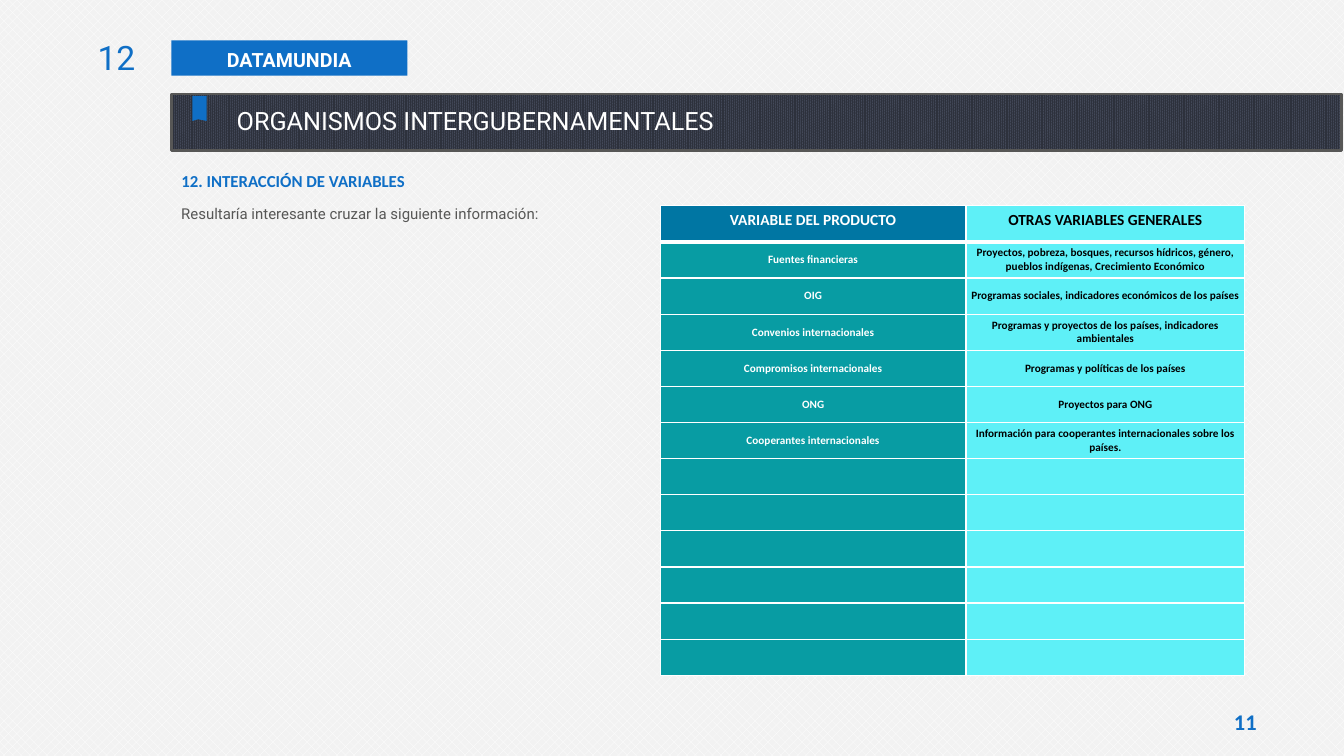
from lxml import etree
from pptx import Presentation
from pptx import util as u
from pptx.dml.color import RGBColor
from pptx.enum import dml, shapes, text
from pptx.oxml.ns import qn

COLORS = {
    "blue": "0F6FC6", "white": "FFFFFF", "black": "000000", "gray": "575756",
    "paper": "F2F2F2", "slate": "2D313C", "slate_light": "444A5A",
    "header": "0076A3", "teal": "089CA3", "cyan": "5EF0F7",
}
WIDTH, HEIGHT = 13.33, 7.5
COLUMNS, ROWS = 16, 9
HEADERS = ("VARIABLE DEL PRODUCTO", "OTRAS VARIABLES GENERALES")
CROSSINGS = [
    ("Fuentes financieras",
     "Proyectos, pobreza, bosques, recursos hídricos, género, "
     "pueblos indígenas, Crecimiento Económico"),
    ("OIG", "Programas sociales, indicadores económicos de los países"),
    ("Convenios internacionales",
     "Programas y proyectos de los países, indicadores ambientales"),
    ("Compromisos internacionales", "Programas y políticas de los países"),
    ("ONG", "Proyectos para ONG"),
    ("Cooperantes internacionales",
     "Información para cooperantes internacionales sobre los países."),
]
EMPTY_ROWS = 6


def rgb(name):
    return RGBColor.from_string(COLORS[name])


def col(n):
    return u.Inches(n * WIDTH / COLUMNS)


def row(n):
    return u.Inches(n * HEIGHT / ROWS)


def paint(fill, color):
    fill.solid()
    fill.fore_color.rgb = rgb(color)


def hatch(fill, pattern, fore, back):
    fill.patterned()
    fill.pattern = dml.MSO_PATTERN.from_xml(pattern)
    fill.fore_color.rgb = rgb(fore)
    fill.back_color.rgb = rgb(back)


def write(frame, words, size=12, font="Calibri", color="white", bold=False,
          align=text.PP_ALIGN.LEFT, spacing=None):
    paragraph = frame.paragraphs[0]
    paragraph.alignment = align
    if spacing:
        paragraph.line_spacing = spacing
    run = paragraph.add_run()
    run.text = words
    run.font.size = u.Pt(size)
    run.font.name = font
    run.font.bold = bold
    run.font.color.rgb = rgb(color)


def border(cell, bottom=1):
    properties = cell._tc.get_or_add_tcPr()
    for place, (side, points) in enumerate(
            [("L", 1), ("R", 1), ("T", 1), ("B", bottom)]):
        line = etree.Element(qn(f"a:ln{side}"), w=str(u.Pt(points)))
        solid = etree.SubElement(line, qn("a:solidFill"))
        etree.SubElement(solid, qn("a:srgbClr"), val=COLORS["white"])
        properties.insert(place, line)


class Deck:
    def __init__(self):
        self.file = Presentation()
        self.file.slide_width = u.Inches(WIDTH)
        self.file.slide_height = u.Inches(HEIGHT)
        self.slide = self.file.slides.add_slide(self.file.slide_layouts[6])
        hatch(self.slide.background.fill, "pct40", "white", "paper")

    def label(self, x, y, w, h, words, insets=None, **style):
        box = self.slide.shapes.add_textbox(col(x), row(y), col(w), row(h))
        frame = box.text_frame
        frame.word_wrap = True
        if insets:
            frame.margin_left = frame.margin_right = u.Inches(insets[0])
            frame.margin_top = frame.margin_bottom = u.Inches(insets[1])
        write(frame, words, **style)

    def bar(self, x, y, w, h):
        bar = self.slide.shapes.add_shape(
            shapes.MSO_SHAPE.RECTANGLE, col(x), row(y), col(w), row(h))
        bar.shadow.inherit = False
        bar.line.fill.background()
        return bar

    def tag(self, x, y, w, h, words, **style):
        tag = self.bar(x, y, w, h)
        paint(tag.fill, "blue")
        tag.text_frame.vertical_anchor = text.MSO_ANCHOR.TOP
        write(tag.text_frame, words, **style)

    def title_band(self, x, y, w, h):
        band = self.bar(x, y, w, h)
        hatch(band.fill, "pct90", "slate", "slate_light")
        band.line.color.rgb = rgb("gray")
        band.line.width = u.Pt(2)

    def bookmark(self, points):
        start, *rest = [(col(x), row(y)) for x, y in points]
        builder = self.slide.shapes.build_freeform(*start)
        builder.add_line_segments(rest, close=True)
        mark = builder.convert_to_shape()
        mark.shadow.inherit = False
        paint(mark.fill, "blue")
        mark.line.fill.background()

    def table(self, x, y, widths, row_height, lines):
        table = self.slide.shapes.add_table(
            len(lines), len(widths), col(x), row(y), col(sum(widths)),
            row(row_height * len(lines))).table
        for column, width in zip(table.columns, widths):
            column.width = col(width)
        for r, line in enumerate(lines):
            table.rows[r].height = row(row_height)
            for c, words in enumerate(line):
                self.fill_cell(table.cell(r, c), words, r == 0, c == 0)

    def fill_cell(self, cell, words, is_header, is_product):
        product_fill = "header" if is_header else "teal"
        paint(cell.fill, product_fill if is_product else "cyan")
        border(cell, bottom=3 if is_header else 1)
        if not is_header:
            cell.vertical_anchor = text.MSO_ANCHOR.MIDDLE
            cell.margin_left = cell.margin_right = 0
            cell.margin_top = cell.margin_bottom = 0
        if words:
            write(cell.text_frame, words, size=11 if is_header else 8,
                  color="white" if is_product else "black", bold=True,
                  align=text.PP_ALIGN.CENTER)


def main():
    deck = Deck()
    center, right = text.PP_ALIGN.CENTER, text.PP_ALIGN.RIGHT
    margin = 2.04
    band_top, band_height = 1.12, 0.67

    deck.label(14.46, 8.4, 0.73, 0.4, "11", insets=(0.05, 0.02), size=16,
               color="blue", bold=True, align=center)
    deck.tag(margin, 0.48, 2.81, 0.42, "DATAMUNDIA", size=14, font="Roboto",
             bold=True, align=center, spacing=1.1)
    deck.label(0.94, 0.38, 0.79, 0.6, "12", size=24, font="Roboto",
               color="blue", align=right)
    deck.title_band(margin, band_top, 13.93, band_height)
    deck.bookmark([(2.46, 1.14), (2.46, 1.44), (2.36, 1.42),
                   (2.29, 1.44), (2.29, 1.14)])
    deck.label(2.7, band_top, 9.96, band_height,
               "ORGANISMOS INTERGUBERNAMENTALES", size=18, font="Roboto",
               align=text.PP_ALIGN.JUSTIFY, spacing=1.2)
    deck.label(margin, 1.97, 5.95, 0.36, "12. INTERACCIÓN DE VARIABLES",
               color="blue", bold=True)
    deck.label(margin, 2.38, 5.6, 0.34,
               "Resultaría interesante cruzar la siguiente información:",
               size=10.7, font="Roboto", color="gray")
    deck.table(7.86, 2.45, (3.64, 3.32), 0.43,
               [HEADERS, *CROSSINGS, *[("", "")] * EMPTY_ROWS])
    deck.file.save("out.pptx")


if __name__ == "__main__":
    main()
